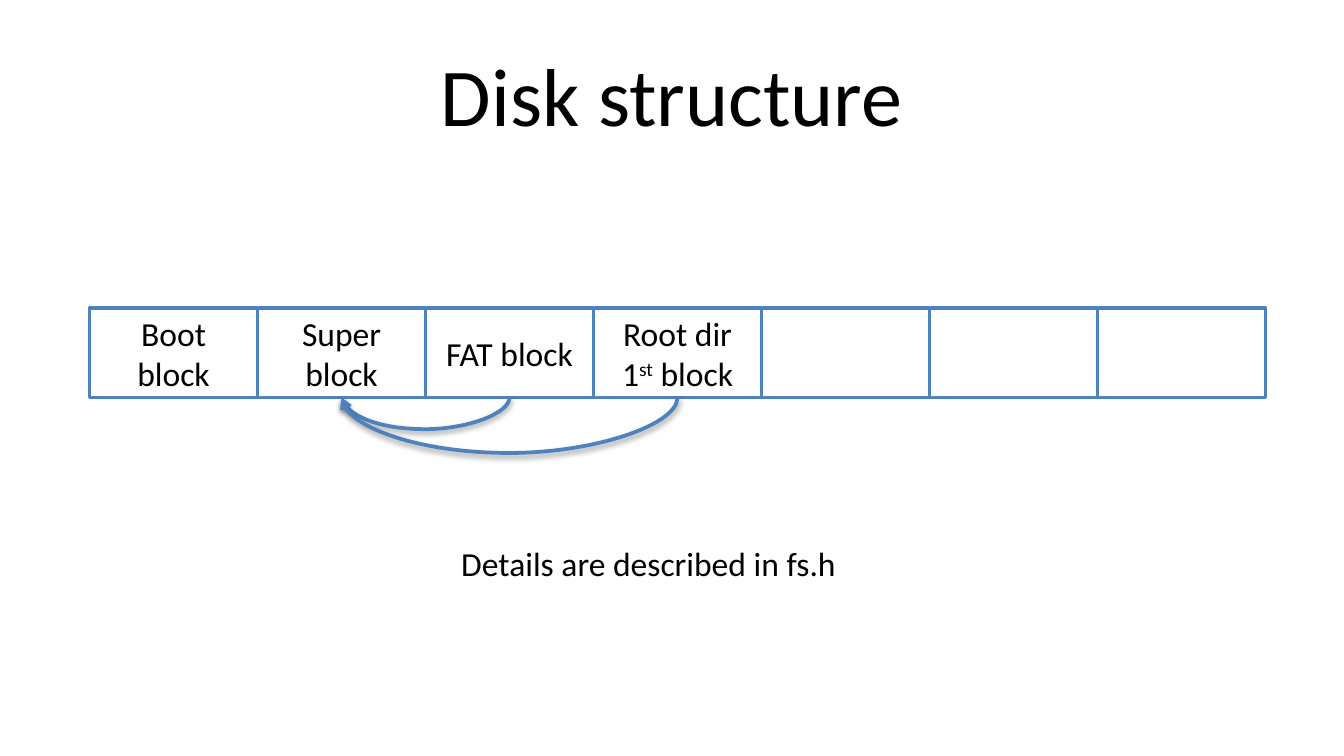
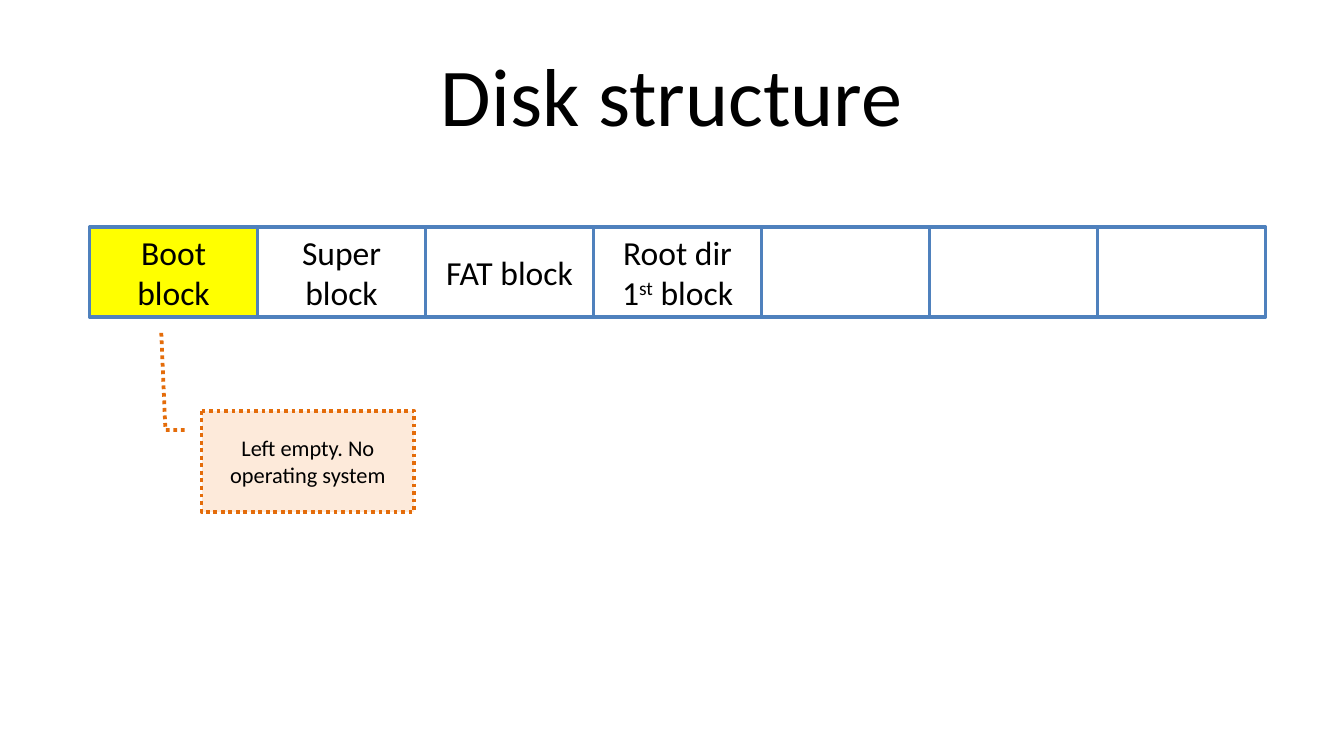
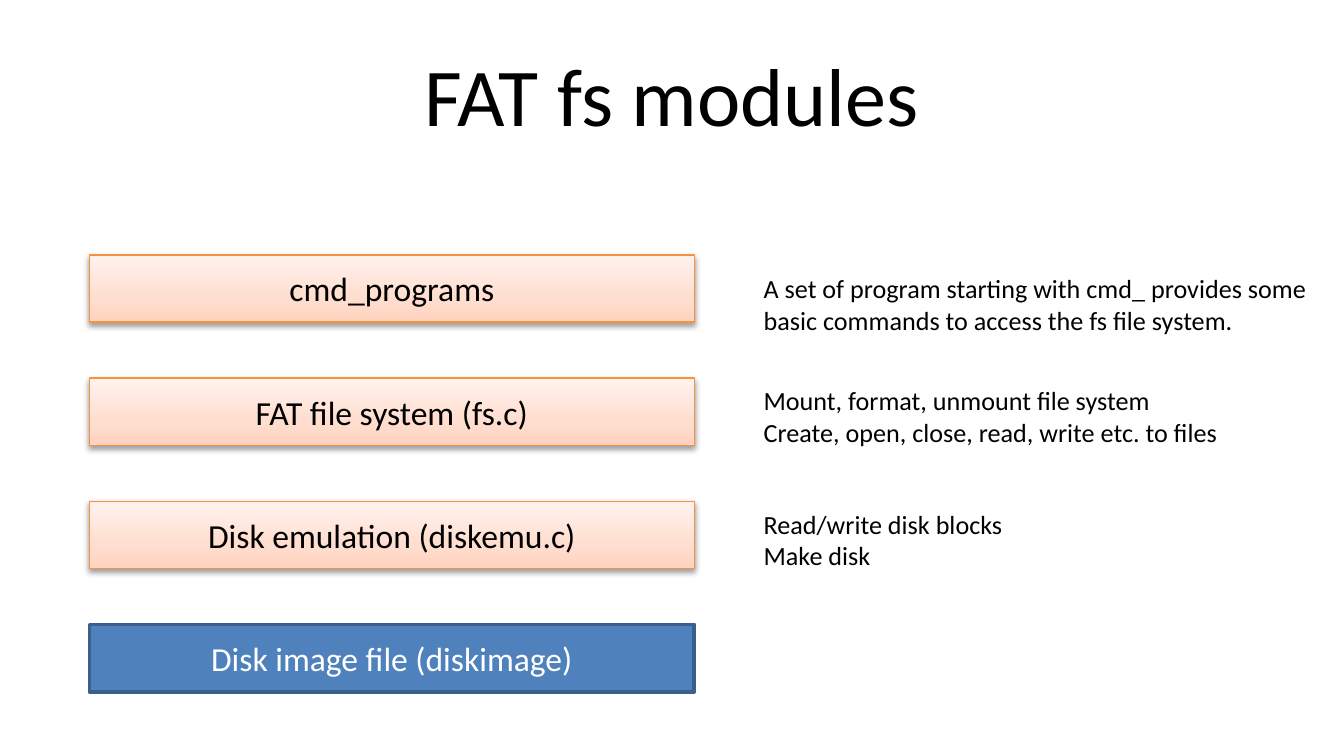
"""Build three slides on the disk layout and modules of a FAT file system."""
from copy import deepcopy

from pptx import Presentation
from pptx.dml.color import RGBColor
from pptx.enum import dml, shapes, text
from pptx.oxml import parse_xml
from pptx.oxml.ns import nsdecls, qn
from pptx.util import Pt

HUE = {
    "ink": "000000", "white": "FFFFFF", "blue": "4F81BD", "navy": "3A5F8C",
    "mark": "FFFF00", "cream": "FDEADA", "rust": "E46C0A", "edge": "F69240",
}
FADE = [(0, "FFD2BD"), (0.35, "FFDED0"), (1, "FFF2ED")]
SHADE = (
    f'<a:effectLst {nsdecls("a")}><a:outerShdw blurRad="40000" dist="20000" '
    'dir="5400000" rotWithShape="0"><a:srgbClr val="000000">'
    '<a:alpha val="38000"/></a:srgbClr></a:outerShdw></a:effectLst>'
)
LEFT, WIDE, HIGH = 48, 90, 48
CELLS = ["Boot block", "Super block", "FAT block", "Root dir 1^st^ block", "", "", ""]


def write(shape, words, size=18, hue="ink", align="CENTER", anchor="MIDDLE", wrap=True):
    """Fill a shape with lines of text; words between carets are superscript."""
    frame = shape.text_frame
    frame.word_wrap = wrap
    frame.vertical_anchor = text.MSO_ANCHOR[anchor]
    if not wrap:
        frame.auto_size = text.MSO_AUTO_SIZE.SHAPE_TO_FIT_TEXT
    for row, line in enumerate(words.split("\n")):
        para = frame.add_paragraph() if row else frame.paragraphs[0]
        para.alignment = text.PP_ALIGN[align]
        for turn, part in enumerate(line.split("^")):
            run = para.add_run()
            run.text = part
            run.font.name = "Calibri"
            run.font.size = Pt(size)
            run.font.color.rgb = RGBColor.from_string(HUE[hue])
            if turn % 2:
                run.font._element.set("baseline", "30000")


def draw(slide, box, fill, line, weight=2, kind="RECTANGLE"):
    """Add a preset shape with a flat fill, or the shaded fade if fill is None."""
    shape = slide.shapes.add_shape(shapes.MSO_SHAPE[kind], *map(Pt, box))
    shape.shadow.inherit = False
    shape.line.color.rgb = RGBColor.from_string(HUE[line])
    shape.line.width = Pt(weight)
    if fill:
        shape.fill.solid()
        shape.fill.fore_color.rgb = RGBColor.from_string(HUE[fill])
        return shape
    shape.fill.gradient()
    shape.fill.gradient_angle = 90
    props = shape._element.spPr
    stops = props.find(".//" + qn("a:gsLst"))
    stops.append(deepcopy(stops[0]))
    for stop, (spot, tint) in zip(shape.fill.gradient_stops, FADE):
        stop.position = spot
        stop.color.rgb = RGBColor.from_string(tint)
    props.replace(props.find(qn("a:effectLst")), parse_xml(SHADE))
    return shape


deck = Presentation()
deck.slide_width, deck.slide_height = Pt(720), Pt(405)
pages = []
for name in ["Disk structure", "Disk structure", "FAT fs modules"]:
    page = deck.slides.add_slide(deck.slide_layouts[5])
    head = page.shapes.title
    head.left, head.top, head.width, head.height = map(Pt, (36, 16.5, 648, 67.5))
    write(head, name, size=44)
    pages.append(page)
plan, boot, stack = pages

disk = []
for page, top, first in [(plan, 165, "white"), (boot, 121.8, "mark")]:
    for col, label in enumerate(CELLS):
        box = (LEFT + col * WIDE, top, WIDE, HIGH)
        cell = draw(page, box, "white" if col else first, "blue")
        if label:
            write(cell, label)
        if page is plan:
            disk.append(cell)

THIN = 0.12
for goal, depth in [(2, 18), (3, 31.5)]:
    span = (goal - 1) * WIDE
    link = plan.shapes.add_connector(shapes.MSO_CONNECTOR.CURVE, 0, 0, 0, 0)
    link.begin_connect(disk[1], 2)
    link.end_connect(disk[goal], 2)
    mid = LEFT + 1.5 * WIDE + span / 2
    link.left, link.top = Pt(mid - THIN / 2), Pt(165 + HIGH - span / 2)
    link.width, link.height = Pt(THIN), Pt(span)
    link.line.color.rgb = RGBColor.from_string(HUE["blue"])
    link.line.width = Pt(2)
    props = link._element.spPr
    turn = props.find(qn("a:xfrm"))
    turn.set("rot", "16200000")
    turn.set("flipH", "1")
    bend = props.find(qn("a:prstGeom")).get_or_add_avLst()
    bend.append(parse_xml(
        f'<a:gd {nsdecls("a")} name="adj1" fmla="val {round(depth / THIN * 100000)}"/>'))
    props.find(qn("a:ln")).append(parse_xml(f'<a:tailEnd {nsdecls("a")} type="triangle"/>'))
    props.append(parse_xml(SHADE))

note = plan.shapes.add_textbox(*map(Pt, (240, 287.5, 217.5, 29)))
write(note, "Details are described in fs.h", align="LEFT", anchor="TOP", wrap=False)

call = draw(boot, (108, 220.2, 114, 54), "cream", "rust", kind="LINE_CALLOUT_2")
call.line.dash_style = dml.MSO_LINE.ROUND_DOT
for spot, value in enumerate([0.19, -0.08, 0.19, -0.17, -0.81, -0.19]):
    call.adjustments[spot] = value
write(call, "Left empty. No operating system", size=12)

LAYERS = [
    ("cmd_programs", 142.5, 308,
     "A set of program starting with cmd_ provides some\n"
     "basic commands to access the fs file system."),
    ("FAT file system (fs.c)", 202.6, 260,
     "Mount, format, unmount file system\n"
     "Create, open, close, read, write etc. to files"),
    ("Disk emulation (diskemu.c)", 268.6, 144, "Read/write disk blocks\nMake disk"),
    ("Disk image file (diskimage)", 0, 0, ""),
]
for row, (label, top, width, info) in enumerate(LAYERS):
    box = (LEFT, 136.6 + row * 66, 324, 36)
    if info:
        write(draw(stack, box, None, "edge", 0.75), label)
        side = stack.shapes.add_textbox(*map(Pt, (402, top, width, 41)))
        write(side, info, size=14, align="LEFT", anchor="TOP", wrap=False)
    else:
        write(draw(stack, box, "blue", "navy"), label, hue="white")

deck.save("out.pptx")
